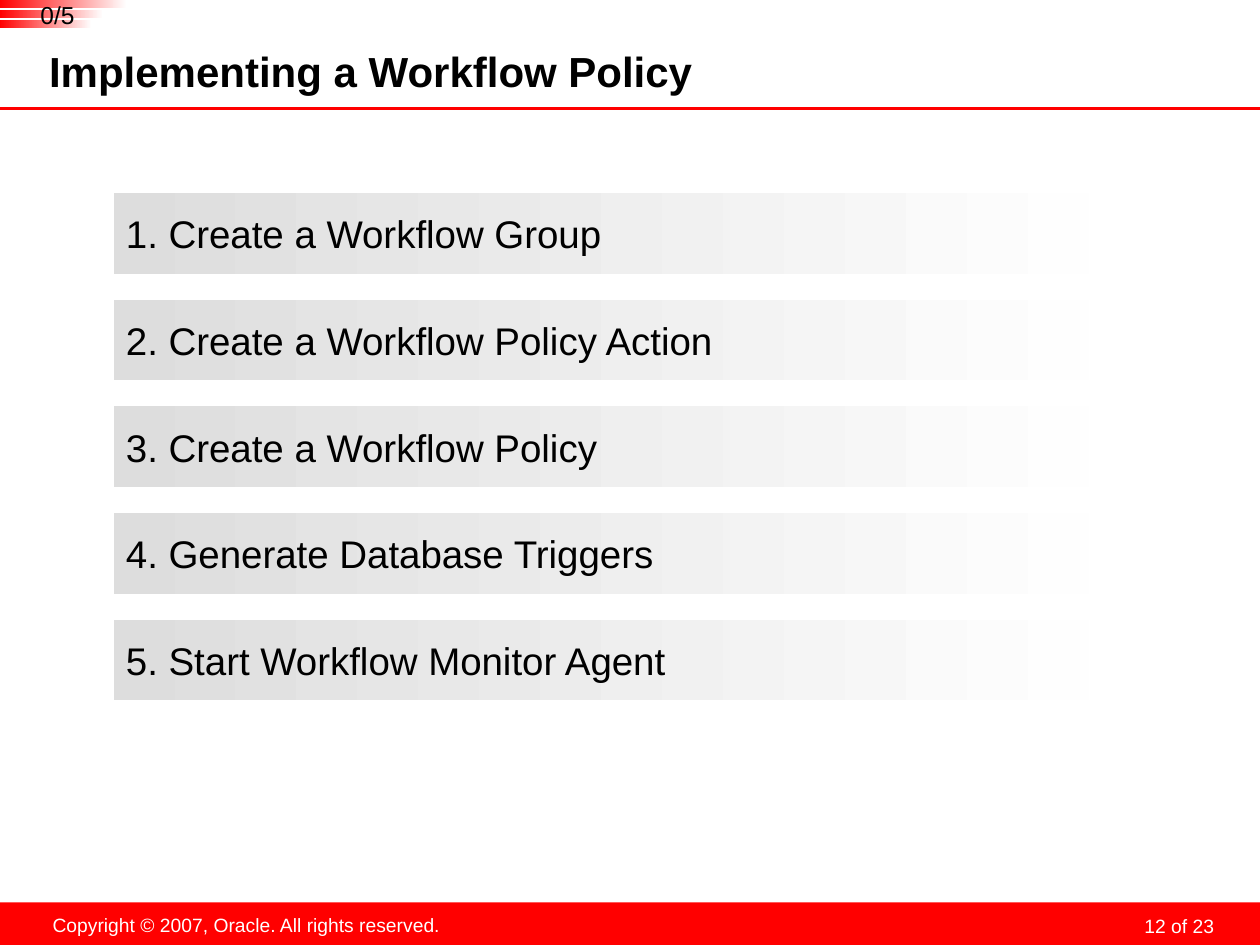
from dataclasses import dataclass

from lxml import etree
from pptx import Presentation
from pptx.dml.color import RGBColor
from pptx.enum.shapes import MSO_CONNECTOR, MSO_SHAPE
from pptx.enum.text import MSO_ANCHOR, MSO_AUTO_SIZE, PP_ALIGN
from pptx.oxml.ns import qn
from pptx.util import Cm, Pt

RECTANGLE = MSO_SHAPE.RECTANGLE
ROUNDED = MSO_SHAPE.ROUNDED_RECTANGLE
STRAIGHT = MSO_CONNECTOR.STRAIGHT
TOP, MIDDLE = MSO_ANCHOR.TOP, MSO_ANCHOR.MIDDLE
LEFT, CENTER, RIGHT = PP_ALIGN.LEFT, PP_ALIGN.CENTER, PP_ALIGN.RIGHT
NO_FIT = MSO_AUTO_SIZE.NONE


@dataclass(frozen=True)
class Theme:
    font: str = "Arial"
    red: RGBColor = RGBColor(0xFF, 0x00, 0x00)
    white: RGBColor = RGBColor(0xFF, 0xFF, 0xFF)
    black: RGBColor = RGBColor(0x00, 0x00, 0x00)
    bar_light: RGBColor = RGBColor(0xFE, 0xFE, 0xFE)
    bar_dark: RGBColor = RGBColor(0xDD, 0xDD, 0xDD)
    title_size: Pt = Pt(24)
    step_size: Pt = Pt(22)
    counter_size: Pt = Pt(14)
    footer_size: Pt = Pt(11)


THEME = Theme()
WIDTH, HEIGHT = 25.4, 19.05
TITLE = "Implementing a Workflow Policy"
STEPS = [
    "1. Create a Workflow Group",
    "2. Create a Workflow Policy Action",
    "3. Create a Workflow Policy",
    "4. Generate Database Triggers",
    "5. Start Workflow Monitor Agent",
]
STEP_TOP, STEP_PITCH = 3.89, 2.15
STRIPE_WIDTHS = [2.57, 2.08, 1.85]
STRIPE_HEIGHT, STRIPE_PITCH = 0.16, 0.2


def cm_box(*lengths):
    return [Cm(length) for length in lengths]


def write_text(shape, text, size, color, insets, align=LEFT, anchor=TOP,
               wrap=True, bold=False):
    """Fill the shape with one paragraph; insets are left, top, right, bottom in cm."""
    frame = shape.text_frame
    frame.text = text
    left, top, right, bottom = cm_box(*insets)
    frame_format = {
        "margin_left": left, "margin_top": top,
        "margin_right": right, "margin_bottom": bottom,
        "auto_size": NO_FIT, "word_wrap": wrap, "vertical_anchor": anchor,
    }
    for name, value in frame_format.items():
        setattr(frame, name, value)
    paragraph = frame.paragraphs[0]
    paragraph.alignment = align
    font = paragraph.runs[0].font
    for name, value in {"name": THEME.font, "size": size, "bold": bold}.items():
        setattr(font, name, value)
    font.color.rgb = color
    return paragraph


def add_plain_shape(shapes, kind, box):
    shape = shapes.add_shape(kind, *cm_box(*box))
    shape.shadow.inherit = False
    shape.line.fill.background()
    return shape


def add_fading_shape(shapes, kind, box, light, dark):
    """Add a shape that fades from dark on the left to light on the right."""
    shape = add_plain_shape(shapes, kind, box)
    shape.fill.gradient()
    shape.fill.gradient_angle = 180
    for stop, color in zip(shape.fill.gradient_stops, (light, dark)):
        stop.color.rgb = color
    return shape


def add_label(shapes, box, *text_arguments, **text_format):
    label = shapes.add_textbox(*cm_box(*box))
    return write_text(label, *text_arguments, **text_format)


def add_footer(shapes):
    band = add_plain_shape(shapes, RECTANGLE, (0, 18.19, WIDTH, 0.86))
    band.fill.solid()
    band.fill.fore_color.rgb = THEME.red
    page = add_label(shapes, (18.69, 18.26, 5.92, 0.64), "12 of 23",
                     THEME.footer_size, THEME.white, (0.13, 0, 0.13, 0), align=RIGHT)
    page.line_spacing = Pt(18)
    add_label(shapes, (0.79, 18.29, 8.36, 0.74),
              "Copyright © 2007, Oracle. All rights reserved.",
              THEME.footer_size, THEME.white, (0.25, 0.13, 0.25, 0.13),
              align=CENTER, wrap=False)


def add_title(shapes):
    title = shapes.title
    position = zip(("left", "top", "width", "height"), cm_box(0.99, 0.97, 19.99, 1.02))
    for name, value in position:
        setattr(title, name, value)
    write_text(title, TITLE, THEME.title_size, THEME.black,
               (0, 0, 0.13, 0.13), anchor=MIDDLE, bold=True)


def add_title_rule(shapes):
    rule = shapes.add_connector(STRAIGHT, *cm_box(0, 2.18, WIDTH, 2.18))
    rule.line.color.rgb = THEME.red
    rule.line.width = Pt(1.75)
    etree.SubElement(rule._element.spPr, qn("a:effectLst"))


def add_counter(shapes):
    """Add the step counter on its three red stripes as one group."""
    group = shapes.add_group_shape().shapes
    for row, width in enumerate(STRIPE_WIDTHS):
        stripe = add_fading_shape(group, ROUNDED,
                                  (0, row * STRIPE_PITCH, width, STRIPE_HEIGHT),
                                  THEME.white, THEME.red)
        stripe.adjustments[0] = 0
    add_label(group, (0.51, 0, 1.3, 0.58), "0/5", THEME.counter_size,
              THEME.black, (0, 0, 0, 0), align=CENTER)


def add_steps(shapes):
    for row, step in enumerate(STEPS):
        bar = add_fading_shape(shapes, RECTANGLE,
                               (2.29, STEP_TOP + row * STEP_PITCH, 19.66, 1.63),
                               THEME.bar_light, THEME.bar_dark)
        write_text(bar, step, THEME.step_size, THEME.black,
                   (0.25, 0.13, 0.25, 0.13), anchor=MIDDLE, wrap=False)


def main():
    presentation = Presentation()
    presentation.slide_width, presentation.slide_height = cm_box(WIDTH, HEIGHT)
    slide = presentation.slides.add_slide(presentation.slide_layouts.get_by_name("Title Only"))
    for add_part in (add_footer, add_title_rule, add_title, add_counter, add_steps):
        add_part(slide.shapes)
    presentation.save("out.pptx")


if __name__ == "__main__":
    main()
